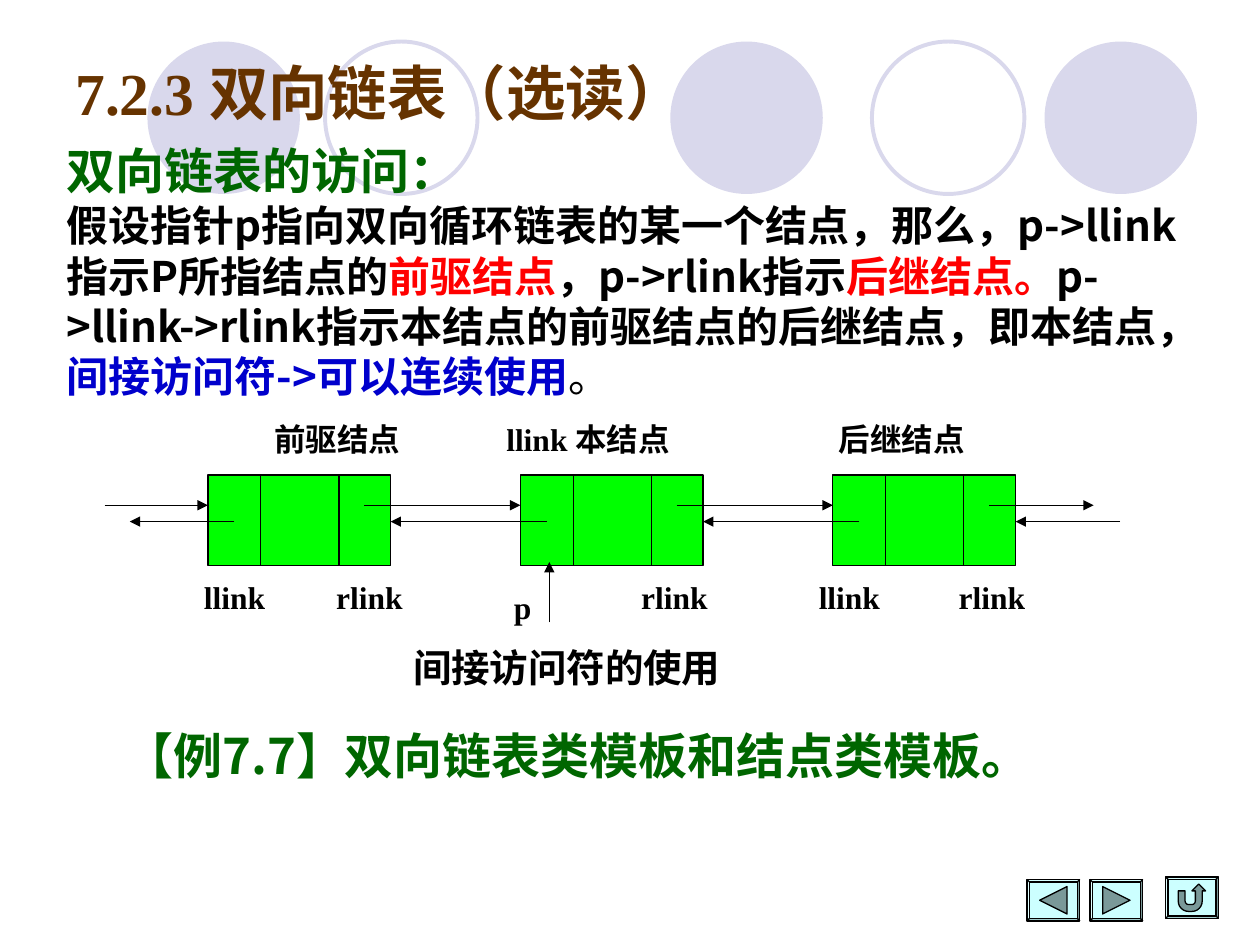
from lxml import etree
from pptx import Presentation
from pptx import util as u
from pptx.dml.color import RGBColor
from pptx.enum import shapes, text
from pptx.oxml.ns import qn

BLACK, RED, BLUE, GREEN = "000000", "FF0000", "0000CC", "006600"
CJK, SERIF, SANS = "Noto Sans CJK SC", "Times New Roman", "Arial"
KIND = shapes.MSO_SHAPE
NODE_TOP, NODE_WIDTH, NODE_HEIGHT = 3.77, 1.45, 0.72
NODE_LEFTS = [1.65 + 2.48 * i for i in range(3)]


def color(value):
    """Turn a hex string into a colour."""
    return RGBColor.from_string(value)


def add_text(page, left, top, width, height, content, size=18, font=SERIF,
             fill=BLACK, bold=True, wrap=True, middle=False, leading=None):
    """Add a text box; content is a list of paragraphs or one string."""
    box = page.shapes.add_textbox(*map(u.Inches, (left, top, width, height)))
    frame = box.text_frame
    frame.word_wrap = wrap
    frame.vertical_anchor = text.MSO_ANCHOR.MIDDLE if middle else text.MSO_ANCHOR.TOP
    paragraphs = [[(content, {})]] if isinstance(content, str) else content
    for index, spans in enumerate(paragraphs):
        para = frame.paragraphs[0] if index == 0 else frame.add_paragraph()
        for words, changes in spans:
            style = dict(size=size, font=font, fill=fill, bold=bold) | changes
            span = para.add_run()
            span.text = words
            span.font.size = u.Pt(style["size"])
            span.font.bold = style["bold"]
            span.font.color.rgb = color(style["fill"])
            span.font.name = style["font"]
            east = etree.SubElement(span.font._element, qn("a:ea"))
            east.set("typeface", CJK)
            if leading:
                para.line_spacing = u.Pt(style["size"] * leading)
    return box


def add_shape(page, kind, left, top, width, height, fill=None, line=None, weight=0.75):
    """Add a preset shape with optional fill and outline."""
    shape = page.shapes.add_shape(kind, *map(u.Inches, (left, top, width, height)))
    shape.shadow.inherit = False
    if fill:
        shape.fill.solid()
        shape.fill.fore_color.rgb = color(fill)
    else:
        shape.fill.background()
    if line:
        shape.line.color.rgb = color(line)
        shape.line.width = u.Pt(weight)
    else:
        shape.line.fill.background()
    return shape


def add_line(page, x1, y1, x2, y2, arrow=False):
    """Add a thin black line, with an arrowhead at its end if asked."""
    line = page.shapes.add_connector(
        shapes.MSO_CONNECTOR.STRAIGHT, *map(u.Inches, (x1, y1, x2, y2)))
    line.line.color.rgb = color(BLACK)
    line.line.width = u.Pt(0.75)
    if arrow:
        etree.SubElement(line.line._get_or_add_ln(), qn("a:tailEnd"), type="triangle")
    etree.SubElement(line._element.spPr, qn("a:effectLst"))


def add_circles(page):
    """Add the row of filled and outlined circles behind the heading."""
    for left in (5.32, 8.29, 1.17):
        add_shape(page, KIND.OVAL, left, 0.33, 1.21, 1.21, fill="D9D8EC")
    for left in (6.92, 2.58):
        add_shape(page, KIND.OVAL, left, 0.33, 1.21, 1.21, line="D9D8EC", weight=2.25)


def add_node(page, left):
    """Add a list node with its three fields and its two outgoing links."""
    add_shape(page, KIND.RECTANGLE, left, NODE_TOP, NODE_WIDTH, NODE_HEIGHT, "00FF00", BLACK)
    for offset in (0.42, 1.04):
        add_line(page, left + offset, NODE_TOP, left + offset, NODE_TOP + NODE_HEIGHT)


def add_links(page):
    """Add the links between neighbouring nodes and at both ends."""
    first, last = NODE_LEFTS[0], NODE_LEFTS[-1]
    add_line(page, first - 0.82, 4.01, first, 4.01, arrow=True)
    for left in NODE_LEFTS:
        add_line(page, left + 1.24, 4.01, min(left + 2.48, 8.68), 4.01, arrow=True)
        add_line(page, left + 0.21, 4.14, max(left - 1.03, 1.03), 4.14, arrow=True)
    add_line(page, last + 2.28, 4.14, last + NODE_WIDTH, 4.14, arrow=True)
    add_line(page, 4.36, 4.94, 4.36, 4.46, arrow=True)


def add_labels(page):
    """Add the node names, the field names and the pointer name."""
    for left, name in ((2.08, "前驱结点"), (3.92, "llink 本结点"), (6.56, "后继结点")):
        add_text(page, left, 3.28, 1.6, 0.4, name, middle=True)
    for left, name in ((1.52, "llink"), (2.57, "rlink"), (4.99, "rlink"),
                       (6.4, "llink"), (7.51, "rlink")):
        add_text(page, left, 4.54, 0.83, 0.4, name)
    add_text(page, 3.98, 4.62, 0.32, 0.39, "p")
    add_text(page, 3.18, 5.06, 2.64, 0.47, "间接访问符的使用", size=22, font=SANS, wrap=False)


def add_button(page, kind, left, top):
    """Add a bevelled navigation button with its icon."""
    add_shape(page, KIND.BEVEL, left, top, 0.42, 0.33, "CCFFFF", BLACK)
    add_shape(page, kind, left + 0.02, top + 0.02, 0.38, 0.29, "CCFFFF", BLACK)


def main():
    """Build the slide and save it."""
    deck = Presentation()
    deck.slide_width, deck.slide_height = u.Inches(10), u.Inches(7.5)
    page = deck.slides.add_slide(deck.slide_layouts[6])
    add_circles(page)
    add_text(page, 0.5, 0.3, 5.52, 0.85, "7.2.3 双向链表（选读）",
             size=34, fill="663300", middle=True)
    add_text(page, 0.43, 1.07, 9.21, 2.17, [
        [("双向链表的访问：", dict(size=28, font=SANS, fill=GREEN))],
        [("假设指针p指向双向循环链表的某一个结点，那么，p->llink指示P所指结点的", {}),
         ("前驱结点", dict(fill=RED)),
         ("，p->rlink指示", {}),
         ("后继结点。", dict(fill=RED)),
         ("p->llink->rlink指示本结点的前驱结点的后继结点，即本结点，", {}),
         ("间接访问符->可以连续使用", dict(fill=BLUE)),
         ("。", dict(font=SANS, bold=False))],
    ], size=24, font=CJK, leading=1.2)
    for left in NODE_LEFTS:
        add_node(page, left)
    add_links(page)
    add_labels(page)
    add_text(page, 0.89, 5.71, 7.69, 0.57, "【例7.7】双向链表类模板和结点类模板。",
             size=28, font=CJK, fill=GREEN, wrap=False, leading=1.2)
    add_button(page, KIND.ACTION_BUTTON_BACK_OR_PREVIOUS, 8.15, 6.98)
    add_button(page, KIND.ACTION_BUTTON_FORWARD_OR_NEXT, 8.65, 6.98)
    add_button(page, KIND.ACTION_BUTTON_RETURN, 9.25, 6.96)
    deck.save("out.pptx")


if __name__ == "__main__":
    main()
